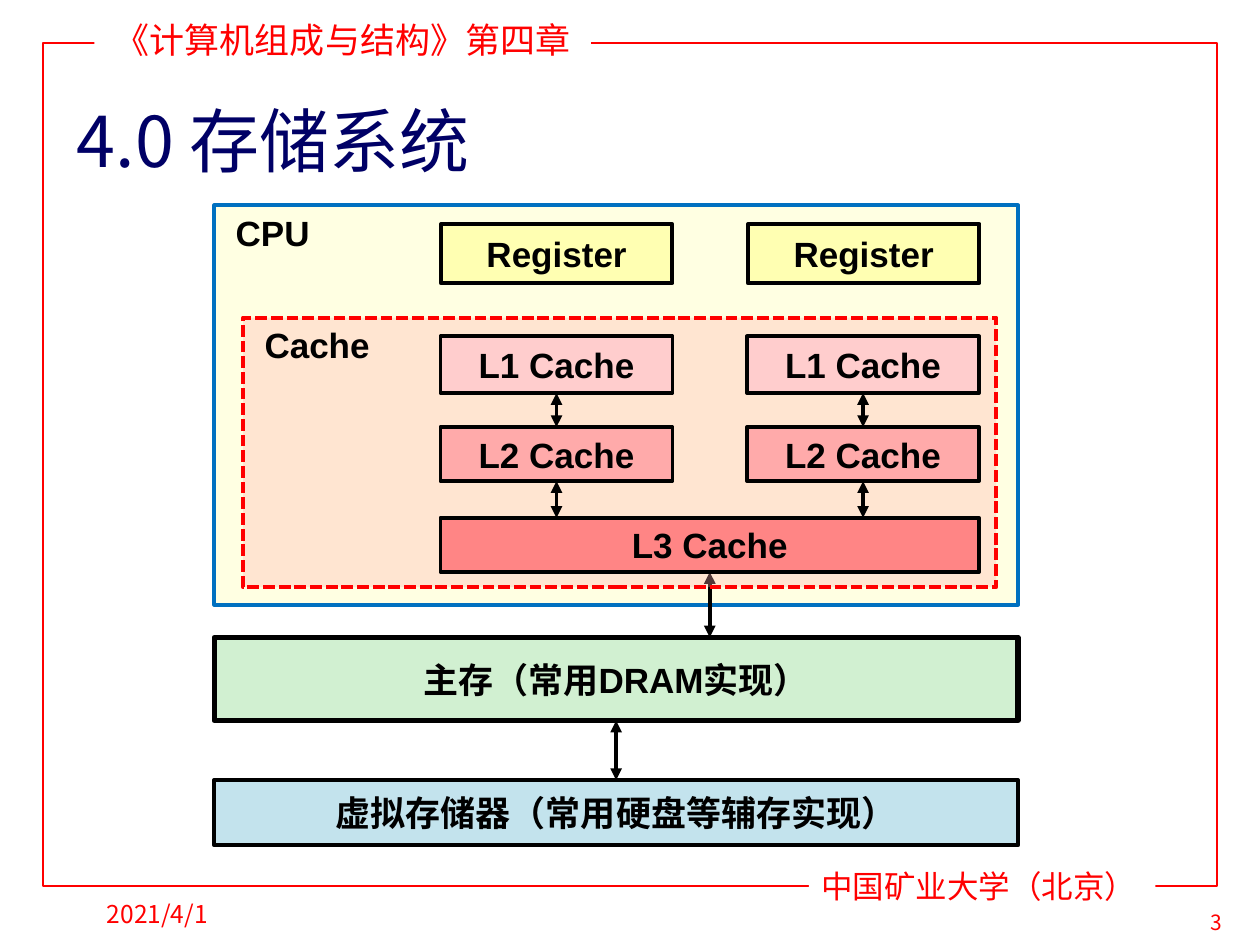
from dataclasses import dataclass

from lxml.etree import SubElement
from pptx import Presentation
from pptx.dml.color import RGBColor
from pptx.enum.dml import MSO_LINE
from pptx.enum.shapes import MSO_CONNECTOR, MSO_SHAPE
from pptx.enum.text import MSO_ANCHOR as ANCHOR, PP_ALIGN as ALIGN
from pptx.oxml.ns import qn
from pptx.util import Inches, Pt

TOP, BOTTOM = 0, 2


@dataclass(frozen=True)
class Theme:
    sans: str = "Arial"
    serif: str = "Times New Roman"
    cjk: str = "Noto Sans CJK SC"
    red: str = "FF0000"
    navy: str = "000066"
    black: str = "000000"
    white: str = "FFFFFF"
    blue: str = "0070C0"
    cpu: str = "FFFFE2"
    register: str = "FFFFB2"
    cache: str = "FFB0B0"
    l1: str = "FFCDCD"
    l2: str = "FFAAAA"
    l3: str = "FF8585"
    memory: str = "D1F0D1"
    disk: str = "C3E3ED"
    title_size: int = 40
    label_size: int = 20
    footer_size: int = 18
    date_size: int = 14
    number_size: int = 12


T = Theme()


@dataclass(frozen=True)
class Box:
    x: float
    y: float
    w: float
    h: float

    def inner(self, x, y, w, h):
        """Inner box, given in percent of this one."""
        return Box(self.x + self.w * x / 100, self.y + self.h * y / 100,
                   self.w * w / 100, self.h * h / 100)

    def emu(self):
        return [Inches(v) for v in (self.x, self.y, self.w, self.h)]


def write(s, text, size, color, font, bold=False, align=ALIGN.LEFT,
          anchor=ANCHOR.TOP, wrap=True):
    tf = s.text_frame
    tf.text = text
    tf.word_wrap = wrap
    tf.vertical_anchor = anchor
    p = tf.paragraphs[0]
    p.alignment = align
    r = p.runs[0]
    r.font.name, r.font.size, r.font.bold = font, Pt(size), bold
    r.font.color.rgb = RGBColor.from_string(color)
    SubElement(r.font._element, qn("a:ea"), typeface=T.cjk)


def rect(slide, box, fill=None, line=None, width=2.25):
    s = slide.shapes.add_shape(MSO_SHAPE.RECTANGLE, *box.emu())
    s.shadow.inherit = False
    if fill:
        s.fill.solid()
        s.fill.fore_color.rgb = RGBColor.from_string(fill)
    else:
        s.fill.background()
    if line:
        s.line.color.rgb = RGBColor.from_string(line)
        s.line.width = Pt(width)
    else:
        s.line.fill.background()
    return s


def block(slide, box, text, fill, width=2.25):
    s = rect(slide, box, fill, T.black, width)
    write(s, text, T.label_size, T.black, T.sans, True, ALIGN.CENTER,
          ANCHOR.MIDDLE, wrap=False)
    return s


def zone(slide, box, text, fill, line):
    """Container with its name in the top left corner."""
    s = rect(slide, box, fill, line)
    write(s, text, T.label_size, T.black, T.sans, True, wrap=False)
    s.text_frame.margin_left = Inches(0.17)
    return s


def link(slide, upper, lower):
    """Two-headed vertical arrow from the bottom of upper to the top of lower."""
    x = upper.left + upper.width // 2
    c = slide.shapes.add_connector(MSO_CONNECTOR.STRAIGHT, x,
                                   upper.top + upper.height, x, lower.top)
    c.line.color.rgb = RGBColor.from_string(T.black)
    c.line.width = Pt(2.25)
    ln = c.line._get_or_add_ln()
    for end in ("headEnd", "tailEnd"):
        SubElement(ln, qn(f"a:{end}"), type="triangle")
    SubElement(c._element.spPr, qn("a:effectLst"))
    c.begin_connect(upper, BOTTOM)
    if lower.left + lower.width // 2 == x:
        c.end_connect(lower, TOP)
    return c


def page_frame(slide, page):
    rect(slide, page.inner(3.4, 4.53, 93.2, 89.2), line=T.red, width=1)
    header = rect(slide, page.inner(7.5, 1.33, 39.4, 5.87), T.white)
    write(header, "《计算机组成与结构》第四章", T.label_size, T.red, T.cjk,
          align=ALIGN.CENTER)
    footer = rect(slide, page.inner(64.2, 91.07, 27.5, 5.33), T.white)
    write(footer, "中国矿业大学（北京）", T.footer_size, T.red, T.serif)
    number = slide.shapes.add_textbox(*page.inner(93.3, 95.6, 6.5, 4).emu())
    write(number, "3", T.number_size, T.red, T.cjk, align=ALIGN.CENTER)
    date = slide.shapes.add_textbox(*page.inner(7.5, 93.33, 20.8, 6.67).emu())
    write(date, "2021/4/1", T.date_size, T.red, T.cjk,
          anchor=ANCHOR.MIDDLE, wrap=False)


def title(slide, box):
    s = slide.shapes.title
    s.left, s.top, s.width, s.height = box.emu()
    write(s, "4.0 存储系统", T.title_size, T.navy, T.cjk, anchor=ANCHOR.MIDDLE)


def cache_levels(slide, box):
    """Private L1 and L2 per core above a shared L3, which is returned."""
    area = zone(slide, box, "Cache", T.cache, T.red)
    area.line.dash_style = MSO_LINE.SQUARE_DOT
    color = area.fill._xPr.find(qn("a:solidFill"))[0]
    SubElement(color, qn("a:alpha"), val="32000")
    l3 = block(slide, box.inner(26.2, 74.3, 71.5, 20.1), "L3 Cache", T.l3)
    for x in (26.2, 66.9):
        l1 = block(slide, box.inner(x, 7, 30.8, 21), "L1 Cache", T.l1)
        l2 = block(slide, box.inner(x, 40.6, 30.8, 20.1), "L2 Cache", T.l2)
        link(slide, l1, l2)
        link(slide, l2, l3)
    return l3


def memory_hierarchy(slide, box):
    cpu_box = box.inner(0, 0, 100, 62.4)
    zone(slide, cpu_box, "CPU", T.cpu, T.blue)
    memory = block(slide, box.inner(0, 67.5, 100, 13),
                   "主存（常用DRAM实现）", T.memory, 3)
    disk = block(slide, box.inner(0, 89.8, 100, 10.2),
                 "虚拟存储器（常用硬盘等辅存实现）", T.disk)
    link(slide, memory, disk)
    for x in (28.2, 66.4):
        block(slide, cpu_box.inner(x, 4.7, 28.8, 14.8), "Register", T.register)
    l3 = cache_levels(slide, cpu_box.inner(3.6, 28.1, 93.7, 67.5))
    bus = link(slide, l3, memory)
    # The bus passes behind the translucent cache zone.
    disk._element.addnext(bus._element)


def main():
    prs = Presentation()
    prs.slide_width, prs.slide_height = Inches(10), Inches(7.5)
    slide = prs.slides.add_slide(prs.slide_layouts[5])
    page = Box(0, 0, 10, 7.5)
    page_frame(slide, page)
    title(slide, page.inner(5.1, 10, 90.6, 9.47))
    memory_hierarchy(slide, page.inner(17, 21.73, 63.8, 67.73))
    prs.save("out.pptx")


if __name__ == "__main__":
    main()
